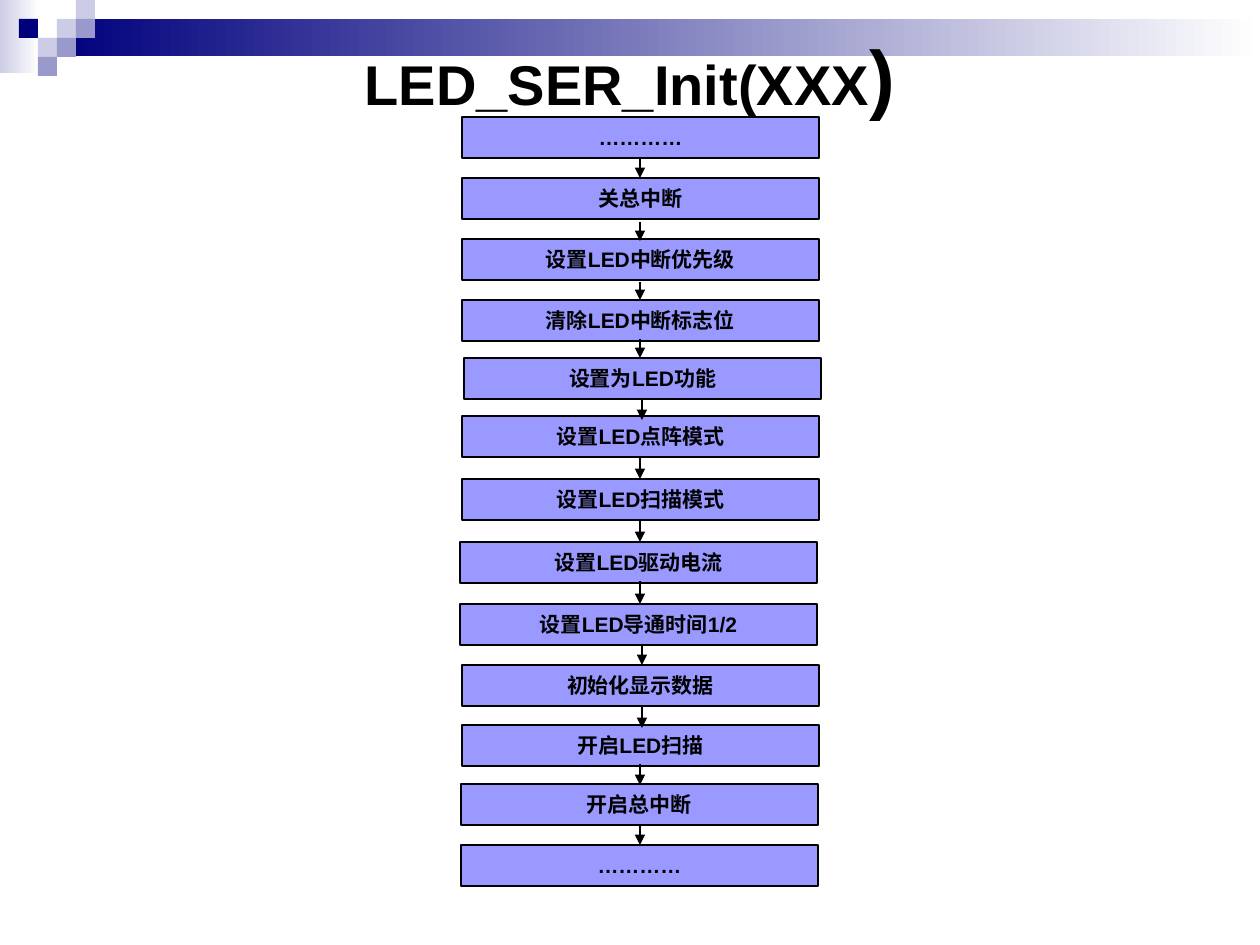
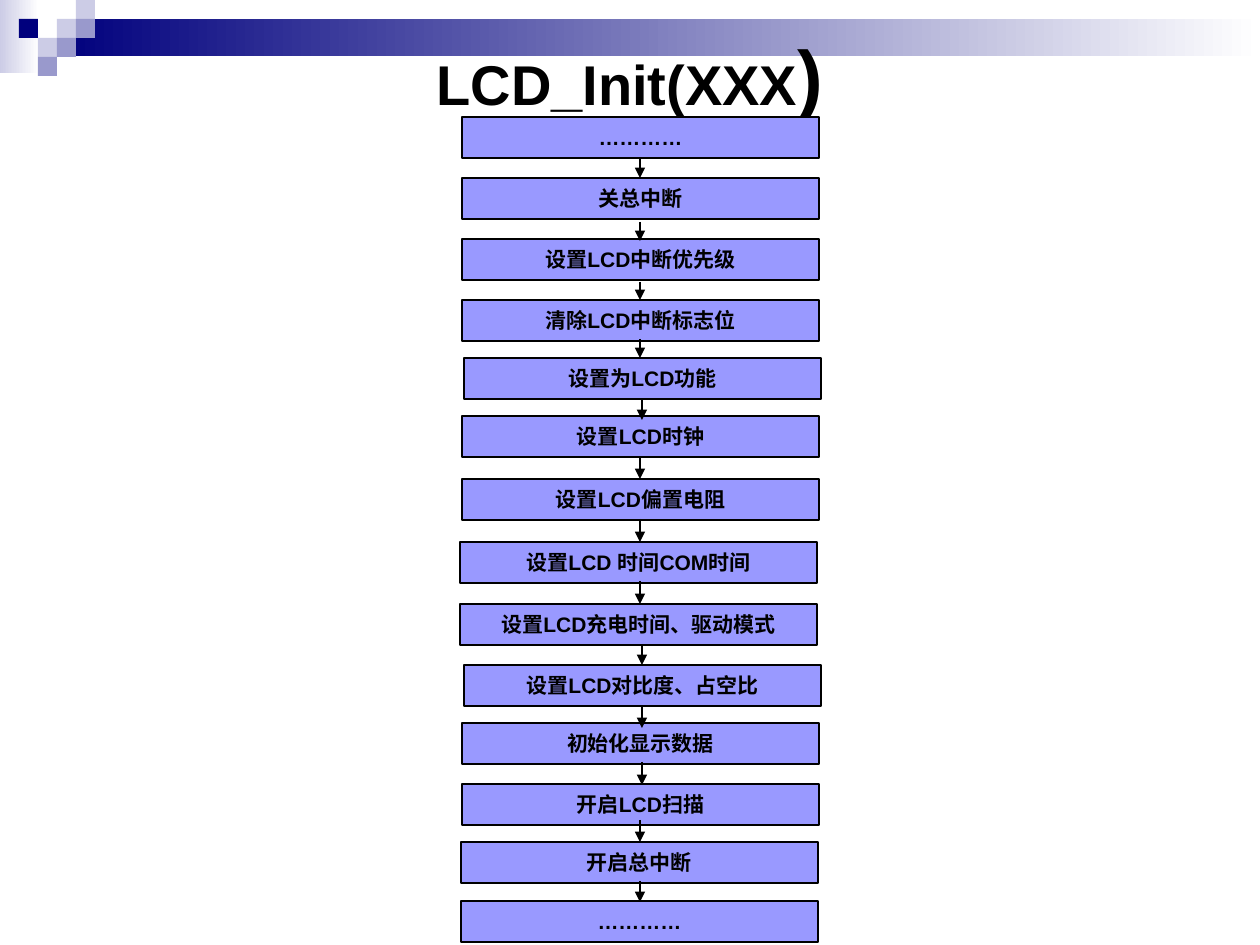
from lxml import etree
from pptx import Presentation
from pptx.dml.color import RGBColor
from pptx.enum.shapes import MSO_CONNECTOR, MSO_SHAPE
from pptx.enum.text import MSO_ANCHOR, PP_ALIGN
from pptx.oxml.ns import qn
from pptx.util import Emu, Pt

SLIDE_WIDTH, SLIDE_HEIGHT = 1260, 945
EMU_PER_PX = 9144000 / SLIDE_WIDTH

NAVY = RGBColor(0x00, 0x00, 0x7D)
LAVENDER = RGBColor(0xCC, 0xCC, 0xE6)
SLATE = RGBColor(0x99, 0x99, 0xCC)
STEP_FILL = RGBColor(0x99, 0x99, 0xFF)
BLACK = RGBColor(0x00, 0x00, 0x00)
WHITE = RGBColor(0xFF, 0xFF, 0xFF)
FONT = "Arial"

TITLE_BOX = (63, 54, 1134, 42)
STEP_WIDTH, STEP_HEIGHT = 357, 41
SQUARE = 19
# Corner squares: column, row, colour
SQUARES = [
    (3, 1, LAVENDER), (4, 0, LAVENDER), (4, 1, SLATE), (2, 2, LAVENDER),
    (1, 1, NAVY), (3, 2, SLATE), (2, 3, SLATE),
]

# Step places: left, top, then the arrow below it: x, start, end
COMMON_PLACES = [
    (462, 117, 640, 159, 178),
    (462, 178, 640, 222, 241),
    (462, 239, 640, 282, 300),
    (462, 300, 640, 339, 358),
    (464, 358, 642, 399, 420),
    (462, 416, 640, 457, 479),
    (462, 479, 640, 519, 542),
    (460, 542, 640, 581, 604),
    (460, 604, 642, 644, 665),
]
LED_PLACES = COMMON_PLACES + [
    (462, 665, 642, 706, 728),
    (462, 725, 640, 764, 785),
    (461, 784, 640, 824, 845),
    (461, 845, None, None, None),
]
LCD_PLACES = COMMON_PLACES + [
    (464, 665, 642, 707, 728),
    (462, 723, 642, 762, 785),
    (462, 784, 640, 820, 842),
    (461, 842, 640, 881, 902),
    (461, 901, None, None, None),
]

LED_STEPS = [
    "…………", "关总中断", "设置LED中断优先级", "清除LED中断标志位",
    "设置为LED功能", "设置LED点阵模式", "设置LED扫描模式", "设置LED驱动电流",
    "设置LED导通时间1/2", "初始化显示数据", "开启LED扫描", "开启总中断", "…………",
]
LCD_STEPS = [
    "…………", "关总中断", "设置LCD中断优先级", "清除LCD中断标志位",
    "设置为LCD功能", "设置LCD时钟", "设置LCD偏置电阻", "设置LCD 时间COM时间",
    "设置LCD充电时间、驱动模式", "设置LCD对比度、占空比", "初始化显示数据",
    "开启LCD扫描", "开启总中断", "…………",
]


def px(*lengths):
    return [Emu(round(length * EMU_PER_PX)) for length in lengths]


def add_rectangle(slide, box, color, fade=False):
    shape = slide.shapes.add_shape(MSO_SHAPE.RECTANGLE, *px(*box))
    shape.shadow.inherit = False
    shape.line.fill.background()
    if fade:
        shape.fill.gradient()
        shape.fill.gradient_angle = 0
        for stop, stop_color, position in zip(
                shape.fill.gradient_stops, (color, WHITE), (0, 1)):
            stop.color.rgb = stop_color
            stop.position = position
    else:
        shape.fill.solid()
        shape.fill.fore_color.rgb = color
    return shape


def style_paragraph(paragraph, size):
    paragraph.alignment = PP_ALIGN.CENTER
    paragraph.font.name = FONT
    paragraph.font.size = Pt(size)
    paragraph.font.bold = True
    paragraph.font.color.rgb = BLACK


def add_header(slide):
    add_rectangle(slide, (0, 0, 39, 73), LAVENDER, fade=True)
    add_rectangle(slide, (57, 19, 1203, 37), NAVY, fade=True)
    for column, row, color in SQUARES:
        add_rectangle(slide, (column * SQUARE, row * SQUARE, SQUARE, SQUARE), color)


def add_title(slide, name, box):
    frame = slide.shapes.add_textbox(*px(*box)).text_frame
    frame.word_wrap = True
    frame.vertical_anchor = MSO_ANCHOR.MIDDLE
    paragraph = frame.paragraphs[0]
    style_paragraph(paragraph, 32)
    paragraph.add_run().text = name + "(XXX"
    closing = paragraph.add_run()
    closing.text = ")"
    closing.font.size = Pt(44)


def add_step(slide, text, left, top):
    shape = add_rectangle(slide, (left, top, STEP_WIDTH, STEP_HEIGHT), STEP_FILL)
    shape.line.color.rgb = BLACK
    shape.line.width = Pt(0.75)
    frame = shape.text_frame
    frame.word_wrap = False
    frame.vertical_anchor = MSO_ANCHOR.MIDDLE
    frame.text = text
    style_paragraph(frame.paragraphs[0], 12)


def add_arrow(slide, x, start, end):
    arrow = slide.shapes.add_connector(MSO_CONNECTOR.STRAIGHT, *px(x, start, x, end))
    arrow.line.color.rgb = BLACK
    arrow.line.width = Pt(0.75)
    etree.SubElement(arrow.line._get_or_add_ln(), qn("a:tailEnd"), type="triangle")
    etree.SubElement(arrow._element.spPr, qn("a:effectLst"))


def add_flow(slide, steps, places):
    for text, (left, top, *_) in zip(steps, places):
        add_step(slide, text, left, top)
    for _, _, x, start, end in places[:-1]:
        add_arrow(slide, x, start, end)


def add_flow_slide(presentation, name, steps, places):
    slide = presentation.slides.add_slide(presentation.slide_layouts[6])
    add_header(slide)
    add_title(slide, name, TITLE_BOX)
    add_flow(slide, steps, places)


def main():
    presentation = Presentation()
    presentation.slide_width, presentation.slide_height = px(SLIDE_WIDTH, SLIDE_HEIGHT)
    add_flow_slide(presentation, "LED_SER_Init", LED_STEPS, LED_PLACES)
    add_flow_slide(presentation, "LCD_Init", LCD_STEPS, LCD_PLACES)
    presentation.save("out.pptx")


if __name__ == "__main__":
    main()
